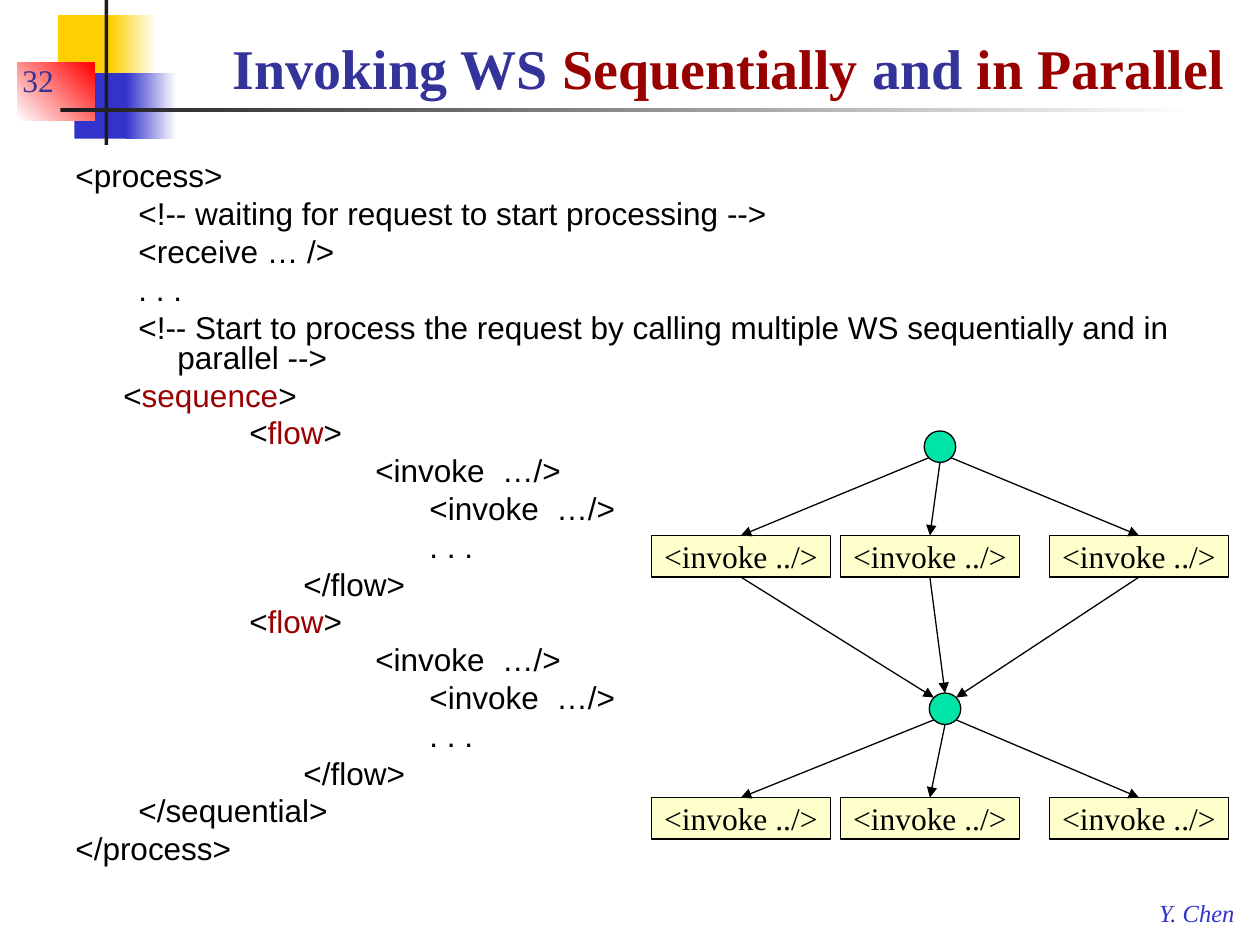
from dataclasses import dataclass
from math import sqrt

from lxml.etree import SubElement
from pptx import Presentation
from pptx.dml.color import RGBColor
from pptx.enum.shapes import MSO_CONNECTOR, MSO_SHAPE
from pptx.enum.text import MSO_ANCHOR, PP_ALIGN
from pptx.oxml.ns import qn
from pptx.util import Inches, Pt


@dataclass(frozen=True)
class Theme:
    serif: str = "Times New Roman"
    sans: str = "Arial"
    navy: str = "333399"
    blue: str = "3333CC"
    crimson: str = "990000"
    black: str = "000000"
    white: str = "FFFFFF"
    yellow: str = "FFCF01"
    red: str = "FF0000"
    charcoal: str = "1C1C1C"
    cream: str = "FFFFCC"
    green: str = "00E4A8"
    title_size: int = 32
    text_size: int = 18
    author_size: int = 14
    outline: float = 0.75


T = Theme()

# Content: runs are (wording, colour)
TITLE = [("Invoking WS ", T.navy), ("Sequentially", T.crimson),
         (" and ", T.navy), ("in Parallel", T.crimson)]
PAGE_NUMBER = [("32", T.navy)]
AUTHOR = [("Y. Chen", T.blue)]
INVOKE = "<invoke ../>"


def tag(name):
    return [("<", T.black), (name, T.crimson), (">", T.black)]


def plain(text):
    return [(text, T.black)]


# Code lines: (indent in inches, runs)
OUTER, INNER, TAB, HANG = 0.38, 0.5, 1, 0.31
FLOW = [
    (OUTER + TAB, tag("flow")),
    (OUTER + 2 * TAB, plain("<invoke  …/>")),
    (INNER + HANG + 2 * TAB, plain("<invoke  …/>")),
    (INNER + HANG + 2 * TAB, plain(". . .")),
    (INNER + HANG + TAB, plain("</flow>")),
]
CODE = [
    (0, plain("<process>")),
    (INNER, plain("<!-- waiting for request to start processing -->")),
    (INNER, plain("<receive … />")),
    (INNER, plain(". . .")),
    (INNER, plain("<!-- Start to process the request by calling multiple WS "
                  "sequentially and in parallel -->")),
    (OUTER, tag("sequence")),
    *FLOW,
    *FLOW,
    (INNER, plain("</sequential>")),
    (0, plain("</process>")),
]

# Decoration: (left, top, width, height, colours, gradient angle)
ORNAMENTS = [
    (0.46, 0.12, 0.48, 0.52, [T.yellow], 0),
    (0.88, 0.12, 0.36, 0.52, [T.yellow, T.white], 0),
    (0.59, 0.58, 0.46, 0.52, [T.blue], 0),
    (1, 0.58, 0.4, 0.52, [T.blue, T.white], 0),
    (0.14, 0.5, 0.61, 0.46, [T.white, T.red], 45),
    (0.83, 0, 0.03, 1.15, [T.charcoal], 0),
    (0.48, 0.86, 9, 0.03, [T.charcoal, T.white], 0),
]

# Flow diagram: each stage is a hub above a row of invoke boxes
BOX_LEFTS = [5.17, 6.67, 8.33]
BOX_W, BOX_H = 1.42, 0.33
HUB = 0.25
STAGES = [(7.46, 3.42), (7.5, 5.5)]  # hub centre x, hub top
HUB_TO_ROW = 0.83

deck = Presentation()
deck.slide_width, deck.slide_height = Inches(10), Inches(7.5)
slide = deck.slides.add_slide(deck.slide_layouts[6])


def rgb(value):
    return RGBColor.from_string(value)


def add_block(kind, left, top, width, height, colours, angle=0, outlined=False):
    block = slide.shapes.add_shape(kind, Inches(left), Inches(top),
                                   Inches(width), Inches(height))
    block.shadow.inherit = False
    if len(colours) == 1:
        block.fill.solid()
        block.fill.fore_color.rgb = rgb(colours[0])
    else:
        block.fill.gradient()
        block.fill.gradient_angle = angle
        for stop, colour, position in zip(block.fill.gradient_stops, colours, (0, 1)):
            stop.color.rgb = rgb(colour)
            stop.position = position
    if outlined:
        block.line.color.rgb = rgb(T.black)
        block.line.width = Pt(T.outline)
    else:
        block.line.fill.background()
    return block


def write(paragraph, runs, size, font):
    for wording, colour in runs:
        run = paragraph.add_run()
        run.text = wording
        run.font.color.rgb = rgb(colour)
    paragraph.font.size = Pt(size)
    paragraph.font.name = font


def add_text(left, top, width, height, anchor=MSO_ANCHOR.TOP, wrap=True):
    frame = slide.shapes.add_textbox(Inches(left), Inches(top),
                                     Inches(width), Inches(height)).text_frame
    frame.word_wrap = wrap
    frame.vertical_anchor = anchor
    return frame


def add_arrow(start, end):
    arrow = slide.shapes.add_connector(MSO_CONNECTOR.STRAIGHT,
                                       *map(Inches, (*start, *end)))
    arrow.line.color.rgb = rgb(T.black)
    arrow.line.width = Pt(T.outline)
    SubElement(arrow.line._get_or_add_ln(), qn("a:tailEnd"), type="triangle")
    SubElement(arrow._element.spPr, qn("a:effectLst"))


# Corner ornament and rule
for *area, colours, angle in ORNAMENTS:
    add_block(MSO_SHAPE.RECTANGLE, *area, colours, angle)

# Author, page number and title
author = add_text(9.1, 7.08, 0.82, 0.33, wrap=False).paragraphs[0]
write(author, AUTHOR, T.author_size, T.serif)
author.font.italic = True
number = add_text(0.08, 0.33, 0.78, 0.5, MSO_ANCHOR.BOTTOM).paragraphs[0]
write(number, PAGE_NUMBER, T.text_size, T.serif)
title = add_text(1.75, 0.17, 8.17, 0.68, MSO_ANCHOR.BOTTOM).paragraphs[0]
write(title, TITLE, T.title_size, T.serif)
title.font.bold = True

# Code listing, with a hanging indent for lines that wrap
code = add_text(0.5, 1.25, 9.29, 6)
for index, (indent, runs) in enumerate(CODE):
    line = code.add_paragraph() if index else code.paragraphs[0]
    line.line_spacing = 0.8
    line.space_before = Pt(4.3 if index else 0)
    properties = line._p.get_or_add_pPr()
    properties.set("marL", str(Inches(indent + HANG)))
    properties.set("indent", str(-Inches(HANG)))
    write(line, runs, T.text_size, T.sans)

# Flow diagram
centres = [left + BOX_W / 2 for left in BOX_LEFTS]
reach = HUB / 2 / sqrt(2)
previous_bottom = None
for hub_x, hub_top in STAGES:
    row_top = hub_top + HUB_TO_ROW
    hub_y = hub_top + HUB / 2
    for left in BOX_LEFTS:
        box = add_block(MSO_SHAPE.RECTANGLE, left, row_top, BOX_W, BOX_H,
                        [T.cream], outlined=True)
        box.text_frame.word_wrap = False
        box.text_frame.vertical_anchor = MSO_ANCHOR.MIDDLE
        label = box.text_frame.paragraphs[0]
        label.alignment = PP_ALIGN.CENTER
        write(label, plain(INVOKE), T.text_size, T.serif)
    add_block(MSO_SHAPE.OVAL, hub_x - HUB / 2, hub_top, HUB, HUB,
              [T.green], outlined=True)
    for centre, side in zip(centres, (-1, 0, 1)):
        edge_x = hub_x + side * reach
        edge_y = reach if side else HUB / 2
        add_arrow((edge_x, hub_y + edge_y), (centre, row_top))
        if previous_bottom:
            add_arrow((centre, previous_bottom), (edge_x, hub_y - edge_y))
    previous_bottom = row_top + BOX_H

deck.save("out.pptx")
